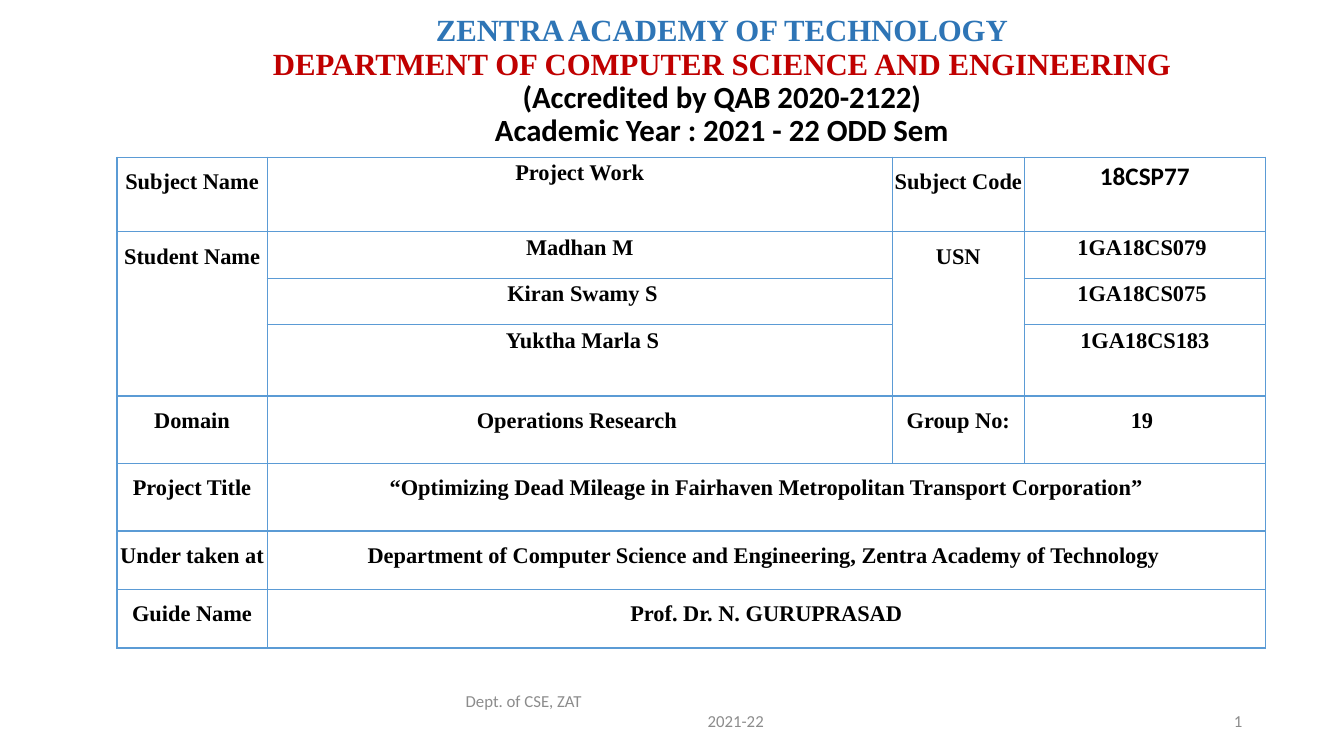
from lxml import etree
from pptx import Presentation, util as u
from pptx.dml.color import RGBColor
from pptx.enum import text
from pptx.oxml import ns

COLORS = {"academy": "2E75B6", "department": "C00000", "ink": "000000",
          "footer": "8C8C8C", "border": "5B9BD5"}
SERIF, SANS = "Times New Roman", "Calibri"
ALIGN = text.PP_ALIGN


def write(paragraph, words, size=16, font=SERIF, color="ink", bold=True,
          align=ALIGN.CENTER, spacing=1.0, after=0, indent=0):
    paragraph.alignment = align
    paragraph.line_spacing = spacing
    paragraph.space_before = u.Pt(0)
    paragraph.space_after = u.Pt(after)
    if indent:
        paragraph._p.get_or_add_pPr().set("marL", str(u.Inches(indent)))
    run = paragraph.add_run()
    run.text = words
    run.font.size = u.Pt(size)
    run.font.name = font
    run.font.bold = bold
    run.font.color.rgb = RGBColor.from_string(COLORS[color])


class Deck:
    def __init__(self):
        self.presentation = Presentation()
        self.presentation.slide_width = u.Inches(13.33)
        self.presentation.slide_height = u.Inches(7.5)
        self.slide = self.presentation.slides.add_slide(
            self.presentation.slide_layouts[6])

    def textbox(self, place, lines, anchor, bottom=0.05):
        frame = self.slide.shapes.add_textbox(*map(u.Inches, place)).text_frame
        frame.word_wrap = True
        frame.vertical_anchor = anchor
        frame.margin_bottom = u.Inches(bottom)
        for index, (words, style) in enumerate(lines):
            paragraph = frame.add_paragraph() if index else frame.paragraphs[0]
            write(paragraph, words, **style)

    def border(self, cell):
        properties = cell._tc.get_or_add_tcPr()
        for side in "LRTB":
            line = etree.SubElement(properties, ns.qn(f"a:ln{side}"), w=str(u.Pt(1)))
            fill = etree.SubElement(line, ns.qn("a:solidFill"))
            etree.SubElement(fill, ns.qn("a:srgbClr"), val=COLORS["border"])

    def table(self, left, top, widths, heights, entries, merges):
        grid = self.slide.shapes.add_table(
            len(heights), len(widths), u.Inches(left), u.Inches(top),
            u.Inches(sum(widths)), u.Inches(sum(heights))).table
        grid.first_row = grid.horz_banding = False
        for column, width in zip(grid.columns, widths):
            column.width = u.Inches(width)
        for row, height in zip(grid.rows, heights):
            row.height = u.Inches(height)
        for cell in grid.iter_cells():
            self.border(cell)
            cell.fill.background()
            cell.margin_left = cell.margin_right = u.Inches(0.01)
            cell.margin_top = cell.margin_bottom = 0
        for start, end in merges:
            grid.cell(*start).merge(grid.cell(*end))
        for (row, column), (words, style) in entries.items():
            write(grid.cell(row, column).text_frame.paragraphs[0], words,
                  after=10, **style)


deck = Deck()

heading = {"size": 22, "spacing": 0.9}
deck.textbox((1.16, 0, 12, 1.92), [
    ("ZENTRA ACADEMY OF TECHNOLOGY", {**heading, "color": "academy"}),
    ("DEPARTMENT OF COMPUTER SCIENCE AND ENGINEERING",
     {**heading, "color": "department"}),
    ("(Accredited by QAB 2020-2122)", {**heading, "font": SANS}),
    ("Academic Year : 2021 - 22 ODD Sem", {**heading, "font": SANS}),
], text.MSO_ANCHOR.BOTTOM, bottom=0.45)

details = [
    ["Subject Name", "Project Work", "Subject Code", "18CSP77"],
    ["Student Name", "Madhan M", "USN", "1GA18CS079\u00a0"],
    [None, "\u00a0Kiran Swamy S", None, "1GA18CS075\u00a0"],
    [None, "\u00a0Yuktha Marla S", None, "1GA18CS183"],
    ["Domain", "Operations Research\u00a0", "Group No:", "19\u00a0"],
    ["Project Title", "“Optimizing Dead Mileage in Fairhaven Metropolitan "
                      "Transport Corporation”"],
    ["Under taken at", "Department of Computer Science and Engineering, "
                       "Zentra Academy of Technology\u00a0"],
    ["Guide Name", "Prof. Dr. N. GURUPRASAD"],
]
entries = {}
for row, values in enumerate(details):
    for column, words in enumerate(values):
        if words:
            compact = row < 4 and column in (1, 3)
            entries[row, column] = (words, {"spacing": 1.15 if compact else 1.5})
entries[0, 3][1].update(size=18, font=SANS)

student_merges = [((1, column), (3, column)) for column in (0, 2)]
project_merges = [((row, 1), (row, 3)) for row in (5, 6, 7)]
deck.table(1.16, 1.56, [1.49, 6.2, 1.31, 2.39],
           [0.74, 0.46, 0.46, 0.71, 0.67, 0.67, 0.58, 0.58],
           entries, student_merges + project_merges)

footer = {"size": 12, "font": SANS, "color": "footer", "bold": False}
deck.textbox((9.42, 6.95, 3, 0.4), [("1", {**footer, "align": ALIGN.RIGHT})],
             text.MSO_ANCHOR.MIDDLE)
deck.textbox((4.52, 6.85, 4.5, 0.4), [
    ("Dept. of CSE, ZAT", {**footer, "align": ALIGN.LEFT}),
    ("2021-22", {**footer, "align": ALIGN.LEFT, "indent": 2.4}),
], text.MSO_ANCHOR.MIDDLE)

deck.presentation.save("out.pptx")
